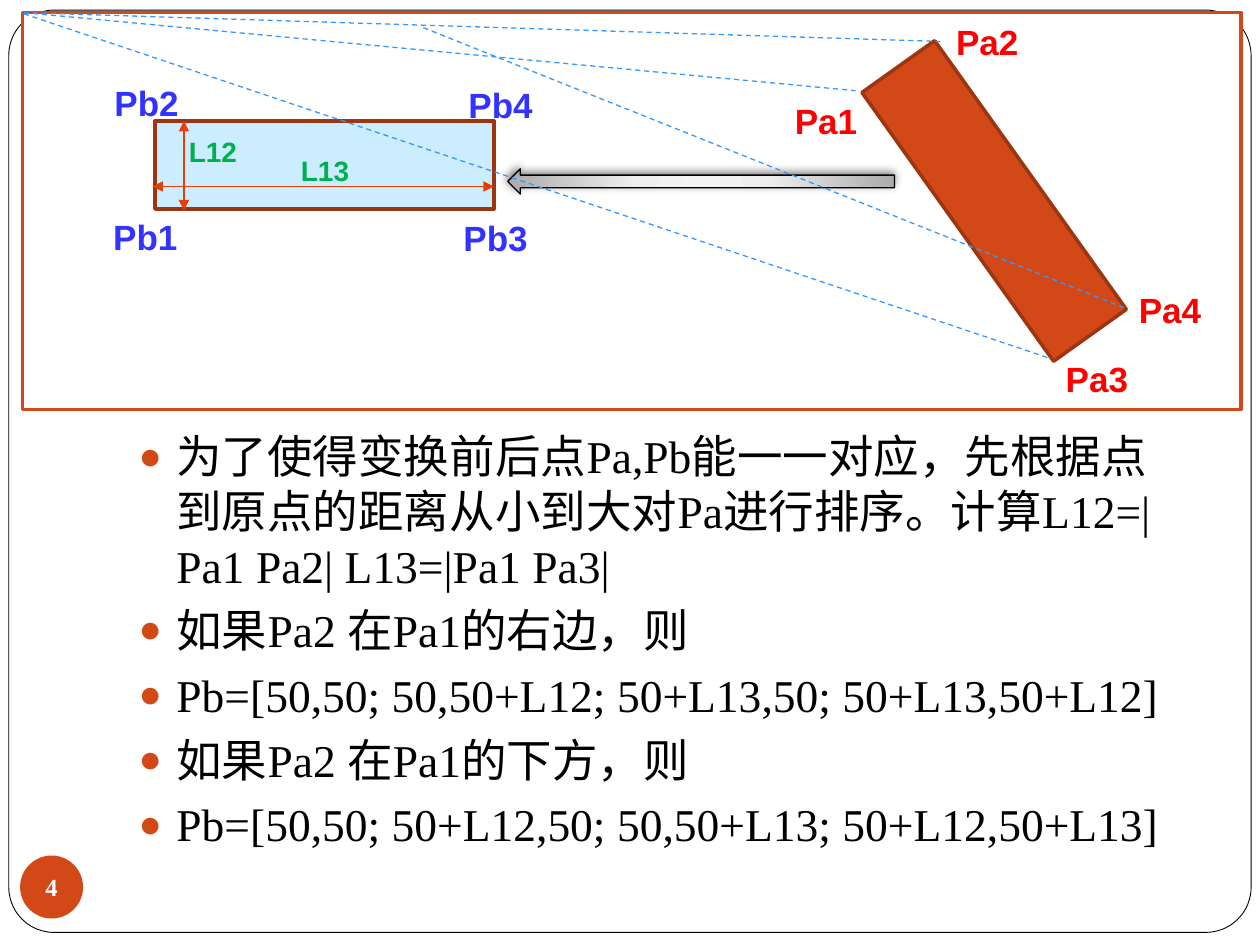
from dataclasses import dataclass
from lxml import etree
from pptx import Presentation
from pptx.dml.color import RGBColor
from pptx.enum.dml import MSO_LINE
from pptx.enum.shapes import MSO_CONNECTOR, MSO_SHAPE
from pptx.enum.text import MSO_ANCHOR, MSO_AUTO_SIZE, PP_ALIGN
from pptx.oxml import parse_xml
from pptx.oxml.ns import nsdecls, qn
from pptx.util import Inches, Pt

RECT = MSO_SHAPE.RECTANGLE
ROUNDED = MSO_SHAPE.ROUNDED_RECTANGLE
ARROW = MSO_SHAPE.LEFT_ARROW
OVAL = MSO_SHAPE.OVAL
STRAIGHT = MSO_CONNECTOR.STRAIGHT
DASH = MSO_LINE.DASH
SERIF, SANS = "Times New Roman", "Arial"
ORANGE, BROWN, WHITE, BLACK = "D34817", "9C3511", "FFFFFF", "000000"
RED, BLUE, GREEN = "FF0000", "3333FF", "00B050"
RAY, MEASURE = "3399FF", "E63F04"


@dataclass
class Label:
    text: str
    x: float
    y: float
    color: str
    size: int = 20
    width: float = 0.83
    height: float = 0.44
    wrap: bool = True


@dataclass
class Line:
    x1: float
    y1: float
    x2: float
    y2: float
    color: str = RAY
    measured: bool = False


LABELS = [
    Label("Pa2", 7.49, 0.11, RED),
    Label("Pa4", 8.94, 2.24, RED),
    Label("Pa1", 6.21, 0.74, RED),
    Label("Pa3", 8.36, 2.79, RED),
    Label("Pb1", 0.8, 1.66, BLUE),
    Label("Pb2", 0.81, 0.6, BLUE),
    Label("Pb3", 3.58, 1.67, BLUE),
    Label("Pb4", 3.62, 0.61, BLUE),
    Label("L12", 1.4, 1.02, GREEN, 16, 0.59, 0.37, False),
    Label("L13", 2.29, 1.17, GREEN, 16, 0.59, 0.37, False),
]
LINES = [
    Line(0.19, 0.1, 6.79, 0.72),
    Line(0.19, 0.1, 7.49, 0.33),
    Line(0.19, 0.11, 8.32, 2.84),
    Line(3.36, 0.22, 8.94, 2.45),
    Line(1.46, 0.96, 1.46, 1.67, MEASURE, True),
    Line(1.21, 1.48, 3.92, 1.48, MEASURE, True),
]
BULLETS = [
    "为了使得变换前后点Pa,Pb能一一对应，先根据点到原点的距离从小到大对Pa进行排序。计算L12=|Pa1 Pa2| L13=|Pa1 Pa3|",
    "如果Pa2 在Pa1的右边，则",
    "Pb=[50,50; 50,50+L12; 50+L13,50; 50+L13,50+L12]",
    "如果Pa2 在Pa1的下方，则",
    "Pb=[50,50; 50+L12,50; 50,50+L13; 50+L12,50+L13]",
]


def rgb(color: str) -> RGBColor:
    return RGBColor.from_string(color)


def format_runs(p, font: str, size: float, color: str, bold: bool = False) -> None:
    for r in p.runs:
        r.font.name, r.font.size, r.font.bold = font, Pt(size), bold
        r.font.color.rgb = rgb(color)


def add_box(s, kind, x: float, y: float, w: float, h: float, fill: str,
            line: str = "", weight: float = 2):
    sp = s.shapes.add_shape(kind, Inches(x), Inches(y), Inches(w), Inches(h))
    sp.shadow.inherit = False
    sp.fill.solid()
    sp.fill.fore_color.rgb = rgb(fill)
    if line:
        sp.line.color.rgb = rgb(line)
        sp.line.width = Pt(weight)
    else:
        sp.line.fill.background()
    return sp


def add_label(s, label: Label) -> None:
    sp = s.shapes.add_textbox(Inches(label.x), Inches(label.y),
                              Inches(label.width), Inches(label.height))
    tf = sp.text_frame
    tf.word_wrap = label.wrap
    tf.auto_size = MSO_AUTO_SIZE.SHAPE_TO_FIT_TEXT
    tf.text = label.text
    format_runs(tf.paragraphs[0], SANS, label.size, label.color, True)


def add_line(s, line: Line) -> None:
    sp = s.shapes.add_connector(STRAIGHT, Inches(line.x1), Inches(line.y1),
                                Inches(line.x2), Inches(line.y2))
    sp.line.color.rgb = rgb(line.color)
    sp.line.width = Pt(0.75)
    if line.measured:
        for end in ("a:headEnd", "a:tailEnd"):
            etree.SubElement(sp.line._get_or_add_ln(), qn(end), type="triangle")
    else:
        sp.line.dash_style = DASH
    etree.SubElement(sp._element.spPr, qn("a:effectLst"))


def style_arrow(sp) -> None:
    stops = "".join(f'<a:gs pos="{pos * 1000}"><a:srgbClr val="{color}"/></a:gs>'
                    for pos, color in ((0, "F4F4F4"), (34, "EFEFEF"), (100, "ABABAB")))
    gradient = parse_xml(
        f'<a:gradFill {nsdecls("a")} rotWithShape="1"><a:gsLst>{stops}</a:gsLst>'
        '<a:path path="circle"><a:fillToRect l="50000" t="155000" r="50000" b="-55000"/>'
        '</a:path></a:gradFill>')
    shadow = parse_xml(
        f'<a:outerShdw {nsdecls("a")} blurRad="{Pt(5)}" dist="{Pt(2)}" dir="{245 * 60000}" '
        'rotWithShape="0"><a:srgbClr val="000000"><a:alpha val="50000"/></a:srgbClr>'
        '</a:outerShdw>')
    spPr = sp._element.spPr
    spPr.replace(spPr.find(qn("a:solidFill")), gradient)
    spPr.find(qn("a:effectLst")).append(shadow)


def add_bullet(p) -> None:
    pPr = p._p.get_or_add_pPr()
    pPr.set("marL", str(Inches(0.3)))
    pPr.set("indent", str(-Inches(0.3)))
    color = etree.SubElement(pPr, qn("a:buClr"))
    etree.SubElement(color, qn("a:srgbClr"), val=ORANGE)
    etree.SubElement(pPr, qn("a:buSzPct"), val="85000")
    etree.SubElement(pPr, qn("a:buChar"), char="●")


def fill_body(s, body) -> None:
    body.left, body.top = Inches(1), Inches(3.35)
    body.width, body.height = Inches(8.5), Inches(3.23)
    tf = body.text_frame
    tf.auto_size = MSO_AUTO_SIZE.NONE
    tf.text = "\n".join(BULLETS)
    for p in tf.paragraphs:
        p.space_before = Pt(5.8)
        add_bullet(p)
        format_runs(p, SERIF, 26, BLACK)
    s.shapes._spTree.append(body._element)


def add_number(s, number: str) -> None:
    tf = add_box(s, OVAL, 0.16, 6.79, 0.5, 0.5, ORANGE).text_frame
    tf.margin_left = tf.margin_right = tf.margin_top = tf.margin_bottom = 0
    tf.word_wrap = False
    tf.vertical_anchor = MSO_ANCHOR.MIDDLE
    tf.text = number
    tf.paragraphs[0].alignment = PP_ALIGN.CENTER
    format_runs(tf.paragraphs[0], SERIF, 14, WHITE, True)


prs = Presentation()
prs.slide_width, prs.slide_height = Inches(10), Inches(7.5)
s = prs.slides.add_slide(prs.slide_layouts[1])
title, body = s.placeholders
title._element.getparent().remove(title._element)

frame = add_box(s, ROUNDED, 0.07, 0.08, 9.86, 7.32, WHITE, BLACK, 0.5)
frame.adjustments[0] = 0.049
add_box(s, RECT, 0.18, 0.1, 9.67, 3.15, WHITE, ORANGE)
style_arrow(add_box(s, ARROW, 4.03, 1.34, 3.07, 0.2, WHITE, BLACK, 0.75))
add_box(s, RECT, 1.23, 0.96, 2.69, 0.7, "CCECFF", BROWN)
add_number(s, "4")
add_box(s, RECT, 6.58, 1.24, 2.62, 0.71, ORANGE, BROWN).rotation = 54.5
fill_body(s, body)
for line in LINES:
    add_line(s, line)
for label in LABELS:
    add_label(s, label)

prs.save("out.pptx")
